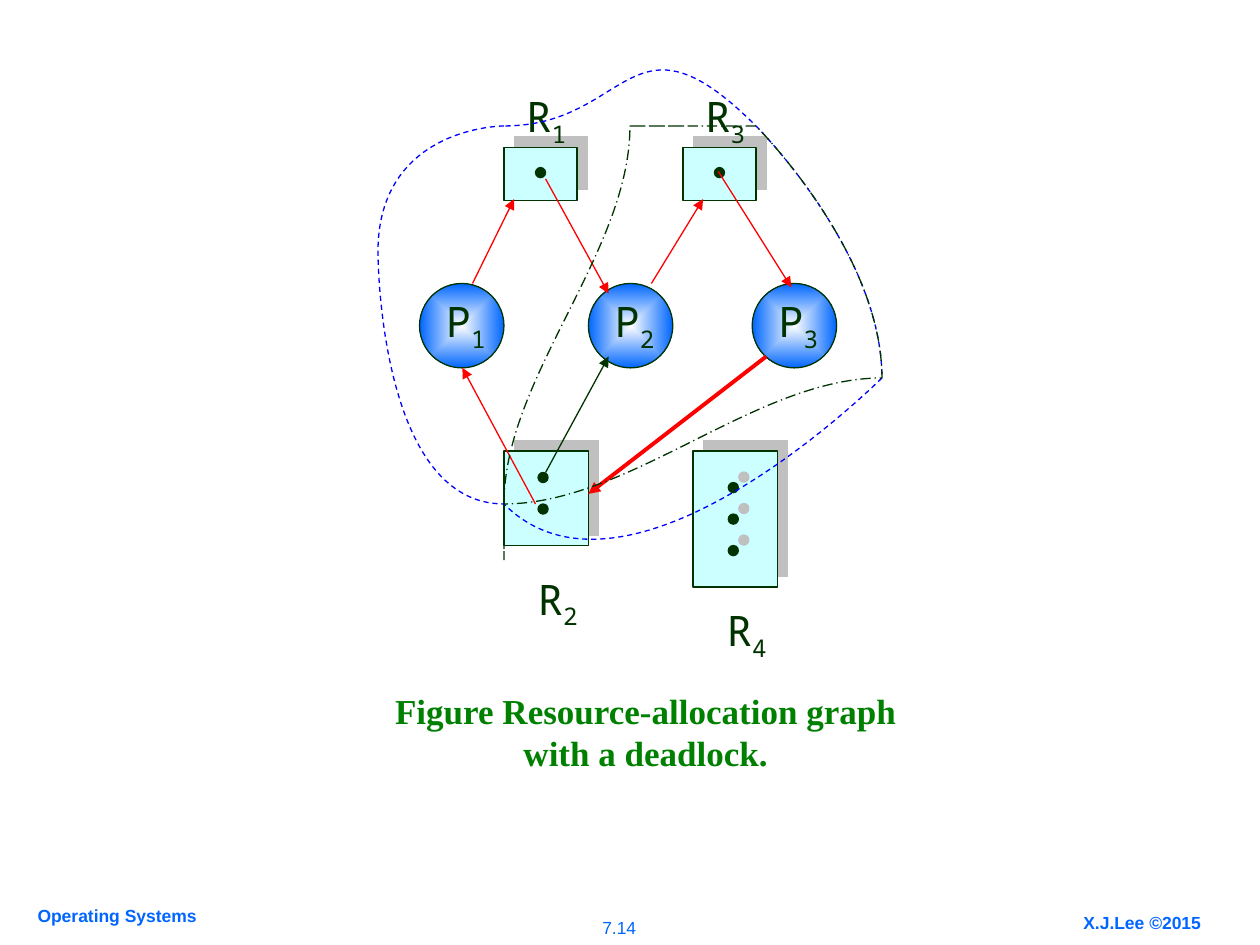
import pptx
import pptx.util
import pptx.dml.color
import pptx.enum.dml
import pptx.enum.shapes
import pptx.enum.text
import pptx.oxml
import pptx.oxml.ns
from lxml import etree

Inches = pptx.util.Inches
qn = pptx.oxml.ns.qn
SHAPE = pptx.enum.shapes.MSO_SHAPE
DASH = pptx.enum.dml.MSO_LINE
ALIGN = pptx.enum.text.PP_ALIGN

COLORS = {"ink": "003300", "box": "CCFFFF", "shade": "C0C0C0", "white": "FFFFFF",
          "blue": "0066FF", "red": "FF0000", "loop": "0000FF", "green": "008000"}
MONO, DOT, BALL = "Noto Sans Mono", 0.08, 0.67

# number, box, label corner, dot corners, whether dots cast a shadow
RESOURCES = [
    ("1", (4, 1.17, 0.58, 0.42), (4.08, 0.67), [(4.25, 1.33)], False),
    ("3", (5.42, 1.17, 0.58, 0.42), (5.5, 0.67), [(5.67, 1.33)], False),
    ("2", (4, 3.58, 0.67, 0.75), (4.17, 4.5), [(4.27, 3.75), (4.27, 4)], False),
    ("4", (5.5, 3.58, 0.67, 1.08), (5.67, 4.75),
     [(5.78, 3.83), (5.78, 4.08), (5.78, 4.33)], True),
]
PROCESSES = [("1", 3.33), ("2", 4.67), ("3", 5.97)]
ARROWS = [
    ((3.75, 2.25), (4.08, 1.58), "red", 0.75),
    ((4.33, 1.42), (4.83, 2.33), "red", 0.75),
    ((4.25, 4), (3.67, 2.92), "red", 0.75),
    ((4.33, 3.75), (4.83, 2.83), "ink", 0.75),
    ((5.17, 2.25), (5.58, 1.58), "red", 0.75),
    ((5.7, 1.36), (6.28, 2.28), "red", 0.75),
    ((6.08, 2.83), (4.67, 3.92), "red", 2.25),
]
# start point, then three Bezier points for each curve
LOOPS = [
    ("loop", DASH.DASH, [
        (4.08, 0.72),
        (3.64, 0.9), (3.25, 1.18), (3.25, 1.81),
        (3.25, 2.43), (3.47, 4.35), (4.08, 4.47),
        (4.69, 4.6), (6.61, 3.18), (6.92, 2.56),
        (7.22, 1.93), (6.39, 1.03), (5.92, 0.72),
        (5.44, 0.42), (4.53, 0.54), (4.08, 0.72)]),
    ("ink", DASH.LONG_DASH_DOT, [
        (5.36, 0.99),
        (5.21, 1.01), (5.5, 0.72), (5.28, 1.15),
        (5.06, 1.58), (4.19, 3.03), (4.03, 3.57),
        (3.86, 4.11), (3.83, 4.53), (4.28, 4.4),
        (4.72, 4.28), (6.37, 3.39), (6.69, 2.82),
        (7.01, 2.25), (6.42, 1.31), (6.19, 0.99),
        (5.97, 0.67), (5.51, 0.96), (5.36, 0.99)]),
]
CAPTION = "Figure Resource-allocation graph with a deadlock."
FOOTERS = [
    ("X.J.Lee ©2015", (8.5, 7.19, 1.33, 0.27), True, ALIGN.LEFT),
    ("7.14", (4.5, 7.23, 0.83, 0.27), False, ALIGN.CENTER),
    ("Operating Systems", (0.2, 7.13, 1.53, 0.27), True, ALIGN.LEFT),
]

deck = pptx.Presentation()
deck.slide_width, deck.slide_height = Inches(10), Inches(7.5)
slide = deck.slides.add_slide(deck.slide_layouts[6])
shapes = slide.shapes


def rgb(name):
    return pptx.dml.color.RGBColor.from_string(COLORS[name])


def inches(nums):
    return [Inches(n) for n in nums]


def stroke(line, color, width=0.75):
    line.color.rgb = rgb(color)
    line.width = pptx.util.Pt(width)


def add_text(words, at, size, font, color, bold=False, align=ALIGN.LEFT, sub=None):
    frame = shapes.add_textbox(*inches(at)).text_frame
    frame.word_wrap = True
    para = frame.paragraphs[0]
    para.alignment = align
    for text in filter(None, (words, sub)):
        run = para.add_run()
        run.text = text
        run.font.size = pptx.util.Pt(size)
        run.font.name = font
        run.font.bold = bold
        run.font.color.rgb = rgb(color)
    if sub:
        run.font._element.set("baseline", "-25000")


def add_label(letter, num, at):
    add_text(letter, at, 24, MONO, "ink", sub=num)


def add_node(kind, at, fill, shade=False):
    node = shapes.add_shape(kind, *inches(at))
    node.shadow.inherit = False
    stroke(node.line, "ink")
    if fill:
        node.fill.solid()
        node.fill.fore_color.rgb = rgb(fill)
    if shade:
        effects = node._element.spPr.find(qn("a:effectLst"))
        cast = etree.SubElement(effects, qn("a:outerShdw"), dist=str(pptx.util.Pt(8.5)),
                                dir="18900000", algn="ctr", rotWithShape="0")
        etree.SubElement(cast, qn("a:srgbClr"), val=COLORS["shade"])
    return node


def add_ball(left, top):
    ball = add_node(SHAPE.OVAL, (left, top, BALL, BALL), None)
    ball.fill.gradient()
    for stop, color in zip(ball.fill.gradient_stops, ("white", "blue")):
        stop.color.rgb = rgb(color)
    grad = ball._element.spPr.find(qn("a:gradFill"))
    grad.remove(grad.find(qn("a:lin")))
    glow = etree.SubElement(grad, qn("a:path"))
    glow.set("path", "rect")
    etree.SubElement(glow, qn("a:fillToRect"), {side: "50000" for side in "ltrb"})


def add_arrow(start, end, color, width):
    arrow = shapes.add_connector(pptx.enum.shapes.MSO_CONNECTOR.STRAIGHT,
                                 *inches(start + end))
    stroke(arrow.line, color, width)
    etree.SubElement(arrow.line._get_or_add_ln(), qn("a:tailEnd"), type="triangle")
    etree.SubElement(arrow._element.spPr, qn("a:effectLst"))


def add_loop(color, dash, points):
    """Draw a closed outline, turning each three straight steps into one curve."""
    pen = shapes.build_freeform(*points[0], scale=Inches(1))
    pen.add_line_segments(points[1:], close=True)
    loop = pen.convert_to_shape()
    loop.shadow.inherit = False
    loop.fill.background()
    stroke(loop.line, color)
    loop.line.dash_style = dash
    steps = list(loop._element.iter(qn("a:lnTo")))
    for i in range(0, len(points) - 1, 3):
        curve = etree.Element(qn("a:cubicBezTo"))
        steps[i].addprevious(curve)
        for step in steps[i:i + 3]:
            curve.append(step[0])
            step.getparent().remove(step)


for text, at, bold, align in FOOTERS:
    add_text(text, at, 10, "Arial", "blue", bold, align)

for num, box, corner, dots, shade in RESOURCES:
    add_node(SHAPE.RECTANGLE, box, "box", True)
    for dot in dots:
        add_node(SHAPE.OVAL, dot + (DOT, DOT), "ink", shade)
    add_label("R", num, corner + (0.75, 0.56))

for num, left in PROCESSES:
    add_ball(left, 2.25)
    add_label("P", num, (left + 0.11, 2.3, 0.67, 0.56))

for arrow in ARROWS:
    add_arrow(*arrow)
add_text(CAPTION, (2.75, 5.42, 4.75, 0.77), 20, "Times New Roman", "green",
         True, ALIGN.CENTER)
for loop in LOOPS:
    add_loop(*loop)

deck.save("out.pptx")
